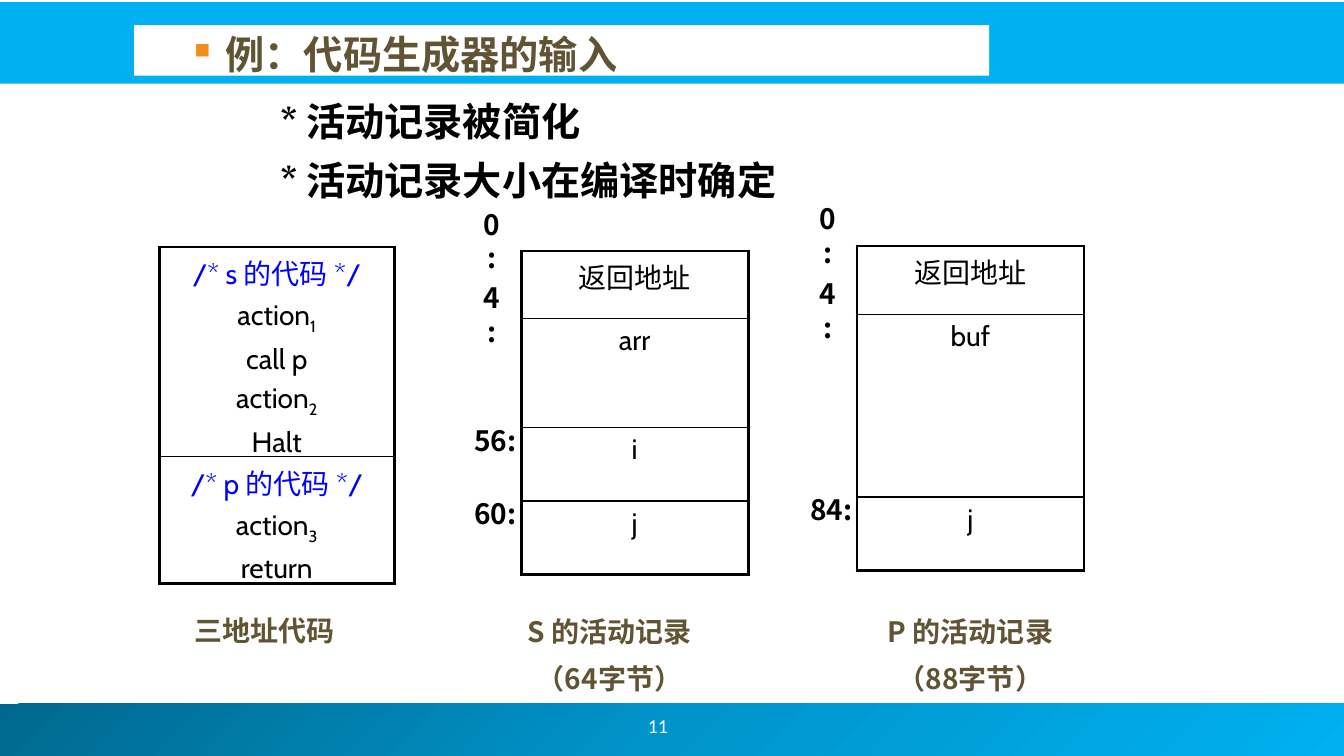
from copy import deepcopy
from pptx import Presentation
from pptx.dml.color import RGBColor as Rgb
from pptx.enum.shapes import MSO_SHAPE as Shape
from pptx.enum.text import MSO_ANCHOR as Anchor, MSO_AUTO_SIZE as Fit, PP_ALIGN as Align
from pptx.oxml import parse_xml
from pptx.oxml.ns import nsdecls, qn
from pptx.util import Inches, Pt

HEAD = "例：代码生成器的输入"
NOTES = ["* 活动记录被简化", "* 活动记录大小在编译时确定"]
CODE = {
    "at": (1.58, 2.45, 2.33),
    "rows": [
        (2.03, ["/* s 的代码 */", "action_1", "call p", "action_2", "Halt"]),
        (1.23, ["/* p 的代码 */", "action_3", "return"]),
    ],
}
RECORDS = [
    {
        "at": (5.17, 2.49, 2.25),
        "rows": [(0.67, ["返回地址"]), (1.08, ["arr"]), (0.73, ["i"]), (0.73, ["j"])],
        "marks": ["0:", "4:", "56:", "60:"],
    },
    {
        "at": (8.5, 2.44, 2.25),
        "rows": [(0.68, ["返回地址"]), (1.81, ["buf"]), (0.73, ["j"])],
        "marks": ["0:", "4:", "84:"],
    },
]
CAPTIONS = [
    ((1.5, 6.04, 2.25, 0.43), ["三地址代码"]),
    ((4.92, 6.02, 2.25, 0.93), ["S 的活动记录", "（64字节）"]),
    ((8.5, 6.02, 2.25, 0.93), ["P 的活动记录", "（88字节）"]),
]
PAGE = "11"

CJK = "Noto Sans CJK JP"
THEME = {
    "sky": "00B0F0", "white": "FFFFFF", "black": "000000", "dot": "EF8E1C",
    "fade": [(0, "00688E"), (0.5, "0094CA"), (1, "00B0F0")],
    "thick": 2.25, "thin": 1,
    "head": {"size": Pt(28), "name": "Cabin", "bold": True, "color": "605435"},
    "note": {"size": Pt(28), "name": "Cabin", "bold": True, "color": "000000"},
    "cell": {"size": Pt(20), "name": "Cabin", "bold": False, "color": "000000"},
    "remark": {"size": Pt(20), "name": "Cabin", "bold": False, "color": "0000FF"},
    "mark": {"size": Pt(20), "name": CJK, "bold": True, "color": "000000"},
    "caption": {"size": Pt(20), "name": CJK, "bold": True, "color": "605435"},
    "page": {"size": Pt(14), "name": "Calibri", "bold": False, "color": "FFFFFF"},
}
LABEL = {"alignment": Align.CENTER, "line_spacing": Pt(24)}


def style(item, looks):
    for key, value in looks.items():
        if key == "color":
            item.color.rgb = Rgb.from_string(value)
        else:
            setattr(item, key, value)


def write(para, text, kind):
    for i, part in enumerate(text.split("_")):
        run = para.add_run()
        run.text = part
        style(run.font, THEME[kind])
        props = run._r.get_or_add_rPr()
        props.append(parse_xml(f'<a:ea {nsdecls("a")} typeface="{CJK}"/>'))
        if i:
            props.set("baseline", "-25000")


def fill_text(frame, lines, kind, gap, looks):
    for i, line in enumerate(lines):
        para = frame.add_paragraph() if i else frame.paragraphs[0]
        style(para, looks)
        if i:
            para.space_before = Pt(gap)
        write(para, line, "remark" if line.startswith("/*") else kind)


def add_box(slide, at, color=None):
    box = slide.shapes.add_shape(Shape.RECTANGLE, *map(Inches, at))
    box.shadow.inherit = False
    box.line.fill.background()
    if color:
        box.fill.solid()
        box.fill.fore_color.rgb = Rgb.from_string(color)
    return box


def add_label(slide, at, lines, kind):
    frame = slide.shapes.add_textbox(*map(Inches, at)).text_frame
    style(frame, {"word_wrap": True, "vertical_anchor": Anchor.BOTTOM,
                  "auto_size": Fit.SHAPE_TO_FIT_TEXT})
    fill_text(frame, lines, kind, 10, LABEL)


def add_line(slide, at, text, kind, left, hang=0):
    frame = add_box(slide, at, THEME["white"]).text_frame
    style(frame, {"word_wrap": True, "vertical_anchor": Anchor.TOP})
    para = frame.paragraphs[0]
    para.alignment = Align.LEFT
    props = para._p.get_or_add_pPr()
    props.set("marL", str(Inches(left)))
    props.set("indent", str(Inches(-hang)))
    if hang:
        for xml in (f'<a:buClr {nsdecls("a")}><a:srgbClr val="{THEME["dot"]}"/></a:buClr>',
                    f'<a:buSzPct {nsdecls("a")} val="55000"/>',
                    f'<a:buChar {nsdecls("a")} char="■"/>'):
            props.append(parse_xml(xml))
    write(para, text, kind)


def edge(cell, first, last):
    thick, thin = THEME["thick"], THEME["thin"]
    sides = {"L": thick, "R": thick, "T": thick if first else thin,
             "B": thick if last else thin}
    props = cell._tc.get_or_add_tcPr()
    for i, (side, width) in enumerate(sides.items()):
        props.insert(i, parse_xml(
            f'<a:ln{side} {nsdecls("a")} w="{Pt(width)}"><a:solidFill>'
            f'<a:srgbClr val="{THEME["black"]}"/></a:solidFill></a:ln{side}>'))


def add_grid(slide, at, rows):
    x, y, wide = at
    tall = sum(high for high, _ in rows)
    grid = slide.shapes.add_table(len(rows), 1, *map(Inches, (x, y, wide, tall))).table
    style(grid, {"first_row": False, "horz_banding": False})
    for i, (high, lines) in enumerate(rows):
        grid.rows[i].height = Inches(high)
        cell = grid.cell(i, 0)
        cell.fill.solid()
        cell.fill.fore_color.rgb = Rgb.from_string(THEME["white"])
        edge(cell, i == 0, i == len(rows) - 1)
        fill_text(cell.text_frame, lines, "cell", 4, {"alignment": Align.CENTER})


def add_marks(slide, at, rows, marks):
    x, y, _ = at
    for i, (mark, (high, _)) in enumerate(zip(marks, rows)):
        shift, wide = (0.59, 0.67) if len(mark) > 2 else (0.5, 0.42)
        lift = 0.09 if i else 0.15
        add_label(slide, (x - shift, y - lift, wide, 0.43), [mark], "mark")
        y += high


def add_bands(slide):
    foot = add_box(slide, (-0.05, 6.98, 13.39, 0.52))
    foot.fill.gradient()
    foot.fill.gradient_angle = 315
    stops = foot._element.find(".//" + qn("a:gsLst"))
    stops.insert(1, deepcopy(stops[0]))
    for stop, (spot, color) in zip(foot.fill.gradient_stops, THEME["fade"]):
        stop.position = spot
        stop.color.rgb = Rgb.from_string(color)
    add_box(slide, (-0.02, 0.02, 13.36, 0.81), THEME["sky"])
    frame = slide.shapes.add_textbox(*map(Inches, (5.08, 6.95, 2.89, 0.5))).text_frame
    style(frame, {"word_wrap": True, "vertical_anchor": Anchor.MIDDLE})
    fill_text(frame, [PAGE], "page", 0, {"alignment": Align.CENTER})


def main():
    deck = Presentation()
    style(deck, {"slide_width": Inches(13.33), "slide_height": Inches(7.5)})
    slide = deck.slides.add_slide(deck.slide_layouts[6])
    add_bands(slide)
    add_grid(slide, **CODE)
    for record in RECORDS:
        add_grid(slide, record["at"], record["rows"])
        add_marks(slide, **record)
    for at, lines in CAPTIONS:
        add_label(slide, at, lines, "caption")
    add_line(slide, (1.33, 0.25, 8.48, 0.5), HEAD, "head", 0.81, 0.31)
    for i, note in enumerate(NOTES):
        add_line(slide, (1.92, 0.92 + 0.58 * i, 6.93, 0.5), note, "note", 0.76)
    deck.save("out.pptx")


if __name__ == "__main__":
    main()
